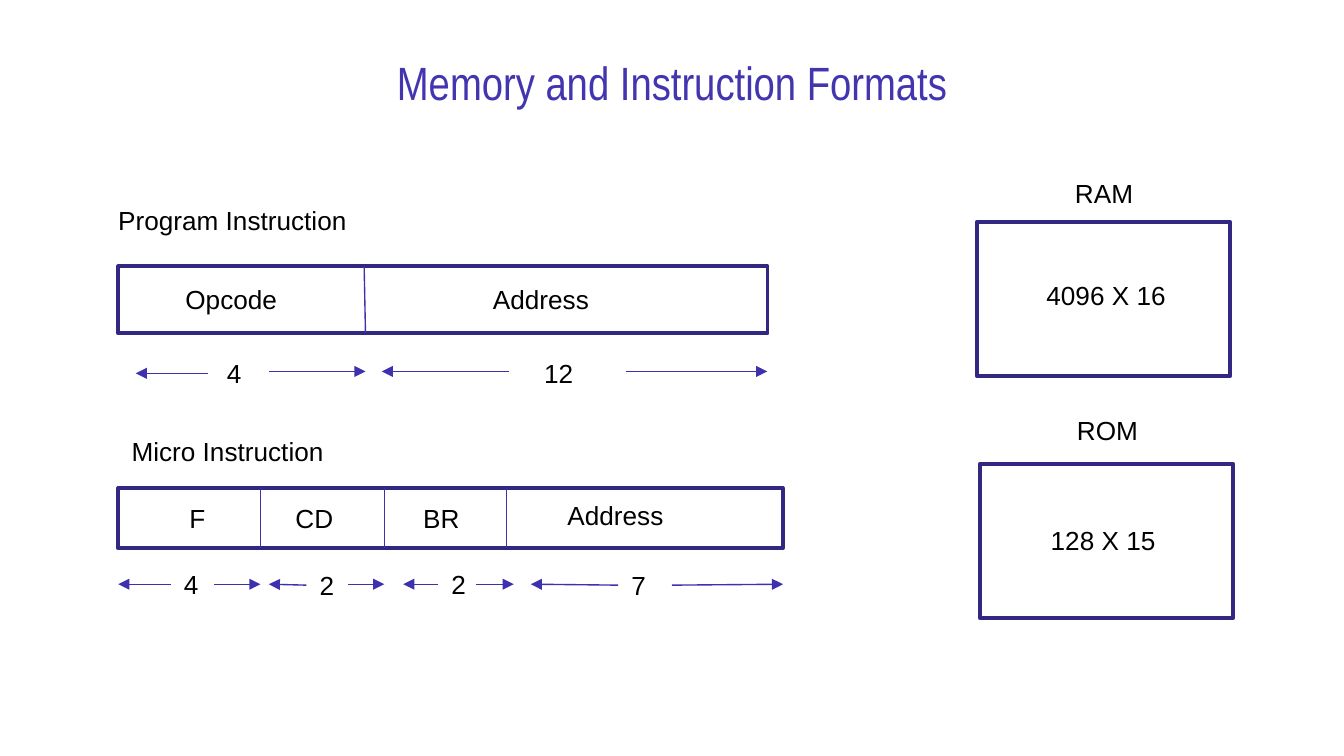
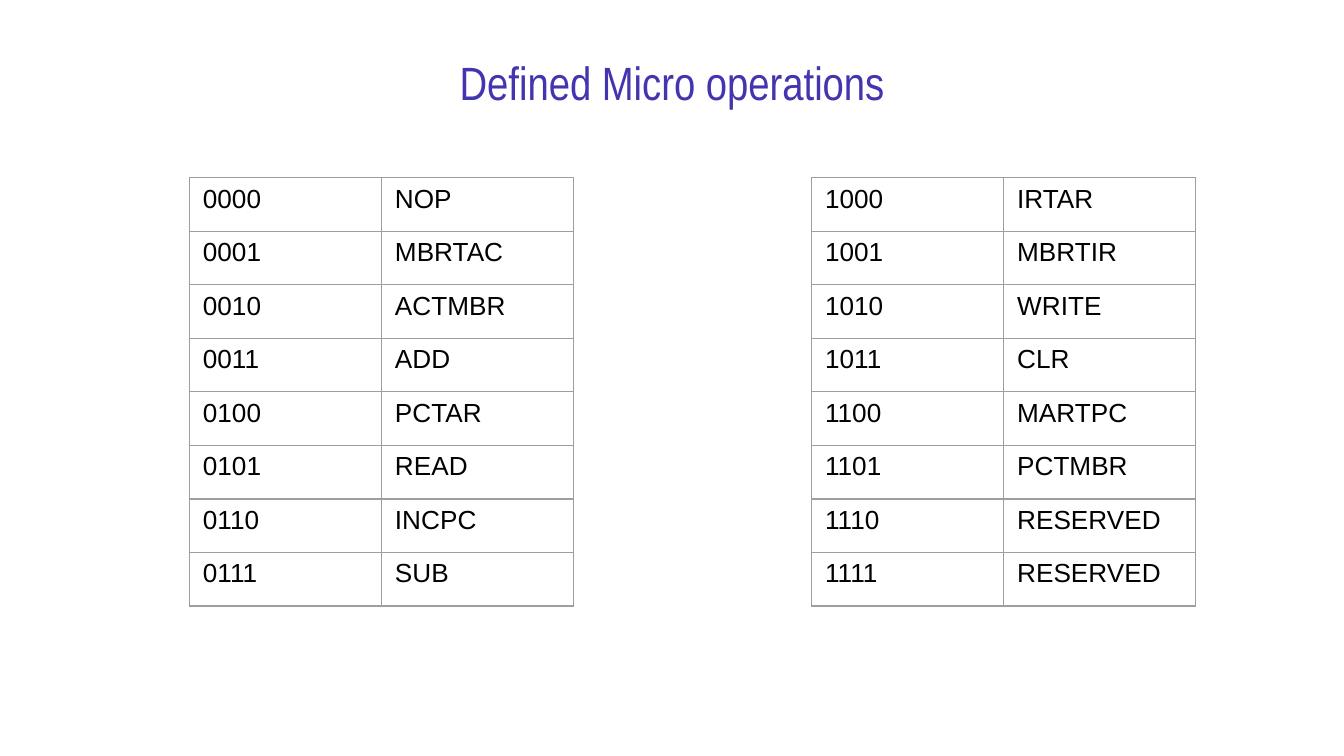
"""Build two slides on instruction formats and micro operations."""
from lxml.etree import SubElement
from pptx import Presentation
from pptx.dml.color import RGBColor
from pptx.enum.shapes import MSO_CONNECTOR, MSO_SHAPE
from pptx.enum.text import MSO_ANCHOR, MSO_AUTO_SIZE, PP_ALIGN
from pptx.oxml.ns import qn
from pptx.util import Pt

COLORS = {
    "title": "4335AF",
    "text": "000000",
    "box": "322781",
    "line": "3F31AE",
    "grid": "9E9E9E",
}
BODY_FONT, BODY_SIZE = "Arial", 14
TITLE_FONT, TITLE_SIZE = "Arial Narrow", 25
LABEL_HEIGHT = 24.5
BOX_LINE, THIN_LINE = 2, 0.75

# Boxes: left, top, width, height. Labels: text, left, top, width.
# Arrows: tail x, tail y, tip x, tip y.
FORMATS = [
    {
        "bar": (63.4, 142.6, 347.8, 36),
        "dividers": [(195.1, 195.8)],
        "labels": [
            ("Program Instruction", 56.2, 105.8, 277.2),
            ("Opcode", 92.2, 148.3, 94.3),
            ("Address", 257, 148.3, 162.7),
            ("4", 114.5, 188, 29.5),
            ("12", 284.4, 188, 39.6),
        ],
        "arrows": [
            (111.6, 200, 72.7, 200), (144, 199, 195.8, 199),
            (272.9, 199, 204.5, 199), (335.5, 199, 411.1, 199),
        ],
    },
    {
        "bar": (63.4, 261.4, 355.9, 32.4),
        "dividers": [(139.5, 139.5), (205.9, 205.9), (271.3, 271.3)],
        "labels": [
            ("Micro Instruction", 63.4, 229.7, 269.3),
            ("F", 94.3, 265.7, 56.9),
            ("CD", 151.2, 265.7, 51.1),
            ("BR", 219.6, 265.7, 56.2),
            ("Address", 296.9, 263.8, 111.6),
            ("4", 91.4, 301.2, 37.4),
            ("2", 164.2, 301.7, 33.8),
            ("2", 234.7, 301.2, 41),
            ("7", 331.2, 301.7, 28.8),
        ],
        "arrows": [
            (91.4, 313, 63.4, 313), (114.5, 313, 139.5, 313),
            (164.2, 313.5, 144, 313), (186.5, 313, 205.9, 313),
            (234.7, 313, 216, 313), (254.9, 313, 275.3, 313),
            (331.2, 313.5, 284.4, 313), (360, 313.5, 419.5, 313),
        ],
    },
]
MEMORIES = [
    {
        "box": (523.3, 118.8, 135.6, 82.8),
        "name": ("RAM", 540.7, 91.4, 101.5),
        "size": ("4096 X 16", 553.5, 146.4, 78.5),
    },
    {
        "box": (525, 248.4, 135.6, 82.8),
        "name": ("ROM", 535, 218.5, 116.6),
        "size": ("128 X 15", 555.8, 277.3, 95),
    },
]
OPERATIONS = [
    "NOP", "MBRTAC", "ACTMBR", "ADD", "PCTAR", "READ", "INCPC", "SUB",
    "IRTAR", "MBRTIR", "WRITE", "CLR", "MARTPC", "PCTMBR", "RESERVED", "RESERVED",
]
ROWS_PER_TABLE = 8
TABLE_LEFTS, TABLE_TOP = (101.5, 434.8), 95.2
COLUMN_WIDTH, ROW_HEIGHT = 102.9, 28.7


def color(name):
    return RGBColor.from_string(COLORS[name])


def style_text(text_frame, font=BODY_FONT, size=BODY_SIZE, color_name="text",
               align=PP_ALIGN.LEFT):
    for paragraph in text_frame.paragraphs:
        paragraph.alignment = align
        for run in paragraph.runs:
            run.font.name, run.font.size = font, Pt(size)
            run.font.color.rgb = color(color_name)


def add_titled_slide(presentation, title):
    slide = presentation.slides.add_slide(presentation.slide_layouts[5])
    shape = slide.shapes.title
    shape.left, shape.top, shape.width, shape.height = map(Pt, (40.6, 23.6, 638.8, 40.5))
    frame = shape.text_frame
    frame.text = title
    frame.auto_size = MSO_AUTO_SIZE.NONE
    frame.vertical_anchor = MSO_ANCHOR.MIDDLE
    frame.margin_left = frame.margin_right = Pt(7.2)
    frame.margin_top = frame.margin_bottom = Pt(7.2)
    style_text(frame, TITLE_FONT, TITLE_SIZE, "title", PP_ALIGN.CENTER)
    return slide


def add_label(slide, text, left, top, width, align=PP_ALIGN.LEFT):
    shape = slide.shapes.add_textbox(Pt(left), Pt(top), Pt(width), Pt(LABEL_HEIGHT))
    frame = shape.text_frame
    frame.word_wrap = True
    frame.auto_size = MSO_AUTO_SIZE.SHAPE_TO_FIT_TEXT
    frame.text = text
    style_text(frame, align=align)


def add_box(slide, bounds):
    shape = slide.shapes.add_shape(MSO_SHAPE.RECTANGLE, *map(Pt, bounds))
    shape.shadow.inherit = False
    shape.fill.background()
    shape.line.color.rgb = color("box")
    shape.line.width = Pt(BOX_LINE)


def add_line(slide, points, arrow=False):
    connector = slide.shapes.add_connector(MSO_CONNECTOR.STRAIGHT, *map(Pt, points))
    connector.line.color.rgb = color("line")
    connector.line.width = Pt(THIN_LINE)
    properties = connector._element.spPr
    if arrow:
        SubElement(properties.find(qn("a:ln")), qn("a:tailEnd"), type="triangle")
    SubElement(properties, qn("a:effectLst"))


def add_format(slide, instruction):
    add_box(slide, instruction["bar"])
    _, top, _, height = instruction["bar"]
    for upper, lower in instruction["dividers"]:
        add_line(slide, (upper, top, lower, top + height))
    for label in instruction["labels"]:
        add_label(slide, *label)
    for points in instruction["arrows"]:
        add_line(slide, points, arrow=True)


def set_borders(cell):
    properties = cell._tc.get_or_add_tcPr()
    for side in ("a:lnL", "a:lnR", "a:lnT", "a:lnB"):
        border = SubElement(properties, qn(side), w=str(Pt(THIN_LINE)))
        fill = SubElement(border, qn("a:solidFill"))
        SubElement(fill, qn("a:srgbClr"), val=COLORS["grid"])


def add_operation_table(slide, left, rows):
    table = slide.shapes.add_table(
        len(rows), 2, Pt(left), Pt(TABLE_TOP),
        Pt(2 * COLUMN_WIDTH), Pt(len(rows) * ROW_HEIGHT)).table
    table.first_row = table.horz_banding = False
    for column in table.columns:
        column.width = Pt(COLUMN_WIDTH)
    for row_index, values in enumerate(rows):
        table.rows[row_index].height = Pt(ROW_HEIGHT)
        for column_index, value in enumerate(values):
            cell = table.cell(row_index, column_index)
            cell.text_frame.text = value
            style_text(cell.text_frame)
            set_borders(cell)
            cell.fill.background()


def main():
    presentation = Presentation()
    presentation.slide_width, presentation.slide_height = Pt(720), Pt(405)

    slide = add_titled_slide(presentation, "Memory and Instruction Formats")
    for instruction in FORMATS:
        add_format(slide, instruction)
    for memory in MEMORIES:
        add_box(slide, memory["box"])
        add_label(slide, *memory["name"], align=PP_ALIGN.CENTER)
        add_label(slide, *memory["size"])

    slide = add_titled_slide(presentation, "Defined Micro operations")
    coded = [(f"{code:04b}", name) for code, name in enumerate(OPERATIONS)]
    for index, left in enumerate(TABLE_LEFTS):
        start = index * ROWS_PER_TABLE
        add_operation_table(slide, left, coded[start:start + ROWS_PER_TABLE])

    presentation.save("out.pptx")


if __name__ == "__main__":
    main()
